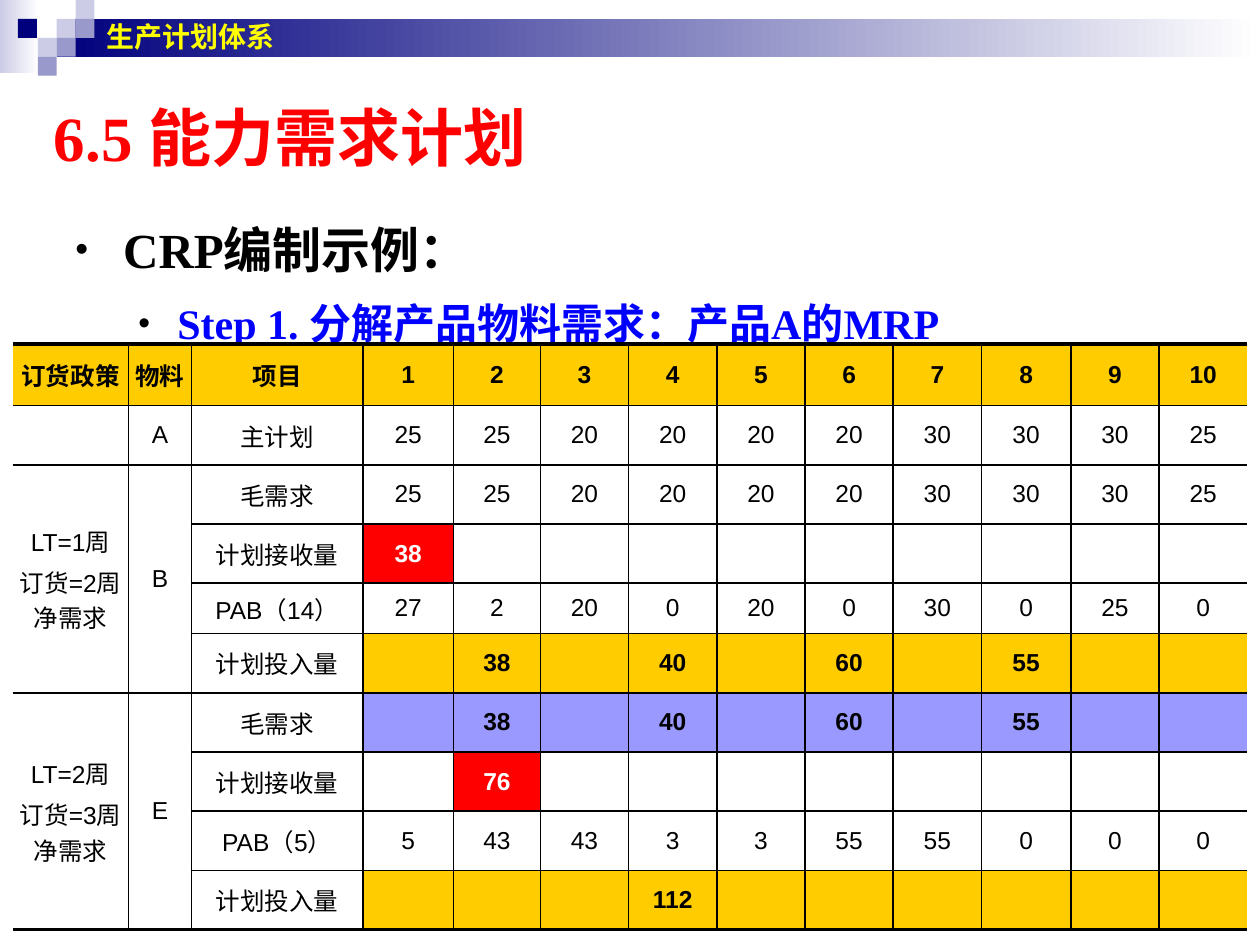
from lxml import etree
from pptx import Presentation
from pptx.dml.color import RGBColor
from pptx.enum.shapes import MSO_SHAPE
from pptx.enum.text import MSO_ANCHOR, PP_ALIGN
from pptx.oxml.ns import qn
from pptx.util import Inches, Pt

RECT = MSO_SHAPE.RECTANGLE
MID, TOP = MSO_ANCHOR.MIDDLE, MSO_ANCHOR.TOP
MIDDLE = PP_ALIGN.CENTER
NAVY, PALE, LILAC = "00007D", "CCCCE6", "9999CC"
GOLD, BLUE, RED = "FFCC00", "9999FF", "FF0000"
WHITE, BLACK = "FFFFFF", "000000"
PLAIN = "{2D5ABB26-0587-4C30-8999-92F81FD0307C}"
UNIT = Inches(0.15)  # the slide is a grid of squares this size
hue = RGBColor.from_string


def grid(*spans):
    return [round(span * UNIT) for span in spans]


def write(para, text, size=14, color=BLACK, bold=False, face="Arial",
          align=None, lead=None, before=0, bullet=None, indent=(0, 0)):
    para.alignment = align
    para.line_spacing = lead
    para.space_before = Pt(before)
    if bullet:
        props = para._p.get_or_add_pPr()
        props.set("marL", str(Inches(indent[0])))
        props.set("indent", str(Inches(indent[1])))
        tint = etree.SubElement(props, qn("a:buClr"))
        etree.SubElement(tint, qn("a:srgbClr"), val=BLACK)
        etree.SubElement(props, qn("a:buSzPct"), val=str(bullet * 1000))
        etree.SubElement(props, qn("a:buFont"), typeface="Arial")
        etree.SubElement(props, qn("a:buChar"), char="•")
    run = para.add_run()
    run.text = text
    run.font.size, run.font.bold, run.font.name = Pt(size), bold, face
    run.font.color.rgb = hue(color)


deck = Presentation()
deck.slide_width, deck.slide_height = Inches(10), Inches(7.5)
slide = deck.slides.add_slide(deck.slide_layouts[6])

# Corner strip, header band and mosaic squares
blocks = [
    (0, 0, 2.07, 3.87, PALE, True), (3, 1, 63.67, 2, NAVY, True),
    (3, 1, 1, 1, PALE, False), (4, 0, 1, 1, PALE, False),
    (4, 1, 1, 1, LILAC, False), (2, 2, 1, 1, PALE, False),
    (0.95, 1, 1, 1, NAVY, False), (3, 2, 1, 1, LILAC, False),
    (2, 3, 1, 1, LILAC, False),
]
for x, y, w, h, color, fade in blocks:
    block = slide.shapes.add_shape(RECT, *grid(x, y, w, h))
    block.shadow.inherit = False
    block.line.fill.background()
    if fade:
        block.fill.gradient()
        block.fill.gradient_angle = 0
        for stop, tone in zip(block.fill.gradient_stops, (color, WHITE)):
            stop.color.rgb = hue(tone)
    else:
        block.fill.solid()
        block.fill.fore_color.rgb = hue(color)

# Title, outline and header text
serif = dict(face="Times New Roman", bold=True)
texts = [
    ((2.2, 5, 60, 4.47), MID, 0.05,
     [("6.5 能力需求计划", dict(serif, size=36, color=RED))]),
    ((3.33, 10, 61.13, 9.47), TOP, 0.01,
     [("CRP编制示例：", dict(serif, size=28, lead=1.5, bullet=75,
                         indent=(0.38, -0.38))),
      ("Step 1. 分解产品物料需求：产品A的MRP",
       dict(serif, size=24, color="0000FF", lead=1.2, before=5, bullet=80,
            indent=(0.81, -0.31)))]),
    ((5, 0, 58.87, 3.87), MID, 0.05,
     [("生产计划体系", dict(size=16, color="FFFF00", bold=True))]),
]
for area, anchor, inset, lines in texts:
    frame = slide.shapes.add_textbox(*grid(*area)).text_frame
    frame.word_wrap = True
    frame.vertical_anchor = anchor
    frame.margin_top = frame.margin_bottom = Inches(inset)
    for i, (text, style) in enumerate(lines):
        para = frame.add_paragraph() if i else frame.paragraphs[0]
        write(para, text, **style)

# Plan table: policy, item, row name, then ten weeks
need = [25, 25, 20, 20, 20, 20, 30, 30, 30, 25]
order = ["", 38, "", 40, "", 60, "", 55, "", ""]
rows = [
    ["订货政策", "物料", "项目", *range(1, 11)],
    ["", "A", "主计划", *need],
    ["LT=1周\n订货=2周净需求", "B", "毛需求", *need],
    ["", "", "计划接收量", 38, *[""] * 9],
    ["", "", "PAB（14）", 27, 2, 20, 0, 20, 0, 30, 0, 25, 0],
    ["", "", "计划投入量", *order],
    ["LT=2周\n订货=3周净需求", "E", "毛需求", *order],
    ["", "", "计划接收量", "", 76, *[""] * 8],
    ["", "", "PAB（5）", 5, 43, 43, 3, 3, 55, 55, 0, 0, 0],
    ["", "", "计划投入量", *[""] * 3, 112, *[""] * 6],
]
wides = [0.92, 0.5, 1.36, 0.72, 0.69] + [0.7] * 5 + [0.71, 0.7, 0.7]
highs = [0.49] + [0.47] * 3 + [0.4] + [0.47] * 5
bands = {0: GOLD, 5: GOLD, 6: BLUE, 9: GOLD}
alerts = {(3, 3), (7, 4)}
last, edge = len(rows) - 1, len(wides) - 1

table = slide.shapes.add_table(
    len(rows), len(wides), Inches(0.1), Inches(2.73),
    Inches(sum(wides)), Inches(sum(highs))).table
table.first_row = table.horz_banding = False
table._tbl.tblPr.find(qn("a:tableStyleId")).text = PLAIN
for col, wide in zip(table.columns, wides):
    col.width = Inches(wide)
for row, high in zip(table.rows, highs):
    row.height = Inches(high)
for r in (2, 6):
    for c in (0, 1):
        table.cell(r, c).merge(table.cell(r + 3, c))

for r, row in enumerate(rows):
    for c, value in enumerate(row):
        cell = table.cell(r, c)
        if cell.is_spanned:
            continue
        cell.vertical_anchor = MID
        cell.margin_left = cell.margin_right = Inches(0.04)

        # Heavy rules above and below, open sides
        props = cell._tc.get_or_add_tcPr()
        foot = r + cell.span_height - 1 if cell.is_merge_origin else r
        rules = {"L": 1 if c else 0, "R": 1 if c < edge else 0,
                 "T": 1 if r else 2.25, "B": 1 if foot < last else 2.25}
        for side, width in rules.items():
            rule = etree.SubElement(props, qn("a:ln" + side), w=str(Pt(width)))
            if width:
                ink = etree.SubElement(rule, qn("a:solidFill"))
                etree.SubElement(ink, qn("a:srgbClr"), val=BLACK)
            else:
                etree.SubElement(rule, qn("a:noFill"))

        # Fill and text
        alert = (r, c) in alerts
        band = bands.get(r) if r == 0 or c > 2 else None
        fill = RED if alert else band
        if fill:
            cell.fill.solid()
            cell.fill.fore_color.rgb = hue(fill)
        else:
            cell.fill.background()
        if value == "":
            continue
        frame = cell.text_frame
        for i, text in enumerate(str(value).split("\n")):
            para = frame.add_paragraph() if i else frame.paragraphs[0]
            write(para, text, bold=bool(fill), align=MIDDLE,
                  color=WHITE if alert else BLACK, before=3 * i)

deck.save("out.pptx")
